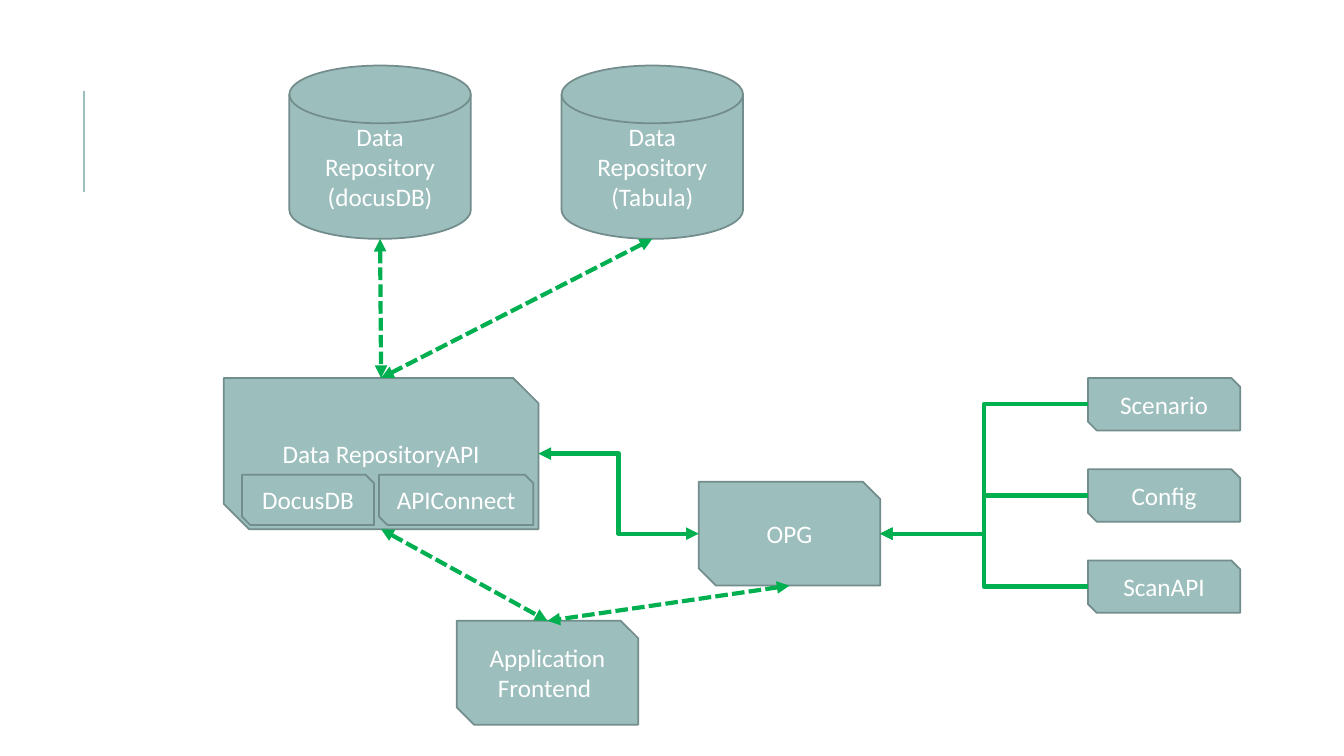
from lxml import etree
from pptx import Presentation
from pptx.dml.color import RGBColor
from pptx.enum import dml, shapes, text
from pptx.oxml import ns
from pptx.util import Inches, Pt

TEAL = RGBColor(0x9C, 0xBE, 0xBD)
EDGE = RGBColor(0x73, 0x8D, 0x8C)
GREEN = RGBColor(0x00, 0xB0, 0x50)
WHITE = RGBColor(0xFF, 0xFF, 0xFF)
SNIP = shapes.MSO_SHAPE.SNIP_2_DIAG_RECTANGLE
DISK = shapes.MSO_SHAPE.FLOWCHART_MAGNETIC_DISK
PLAIN = shapes.MSO_CONNECTOR.STRAIGHT
BENT = shapes.MSO_CONNECTOR.ELBOW


def node(host, label, box, kind=SNIP):
    """Add a labelled shape in box (left, top, width, height); return box."""
    item = host.add_shape(kind, *map(Inches, box))
    item.shadow.inherit = False
    item.fill.solid()
    item.fill.fore_color.rgb = TEAL
    item.line.color.rgb = EDGE
    item.line.width = Pt(1.25)
    frame = item.text_frame
    frame.word_wrap = True
    frame.vertical_anchor = text.MSO_ANCHOR.MIDDLE
    para = frame.paragraphs[0]
    para.alignment = text.PP_ALIGN.CENTER
    run = para.add_run()
    run.text = label
    run.font.name = "Calibri"
    run.font.size = Pt(18)
    run.font.color.rgb = WHITE
    return box


def site(box, side):
    """Return the middle of one side of a box."""
    x, y, w, h = box
    return {"top": (x + w / 2, y), "bottom": (x + w / 2, y + h),
            "left": (x, y + h / 2), "right": (x + w, y + h / 2)}[side]


def link(host, start, end, kind=PLAIN, ends=(), dash=False,
         color=GREEN, width=3):
    """Join two points, with triangles at the named ends."""
    wire = host.add_connector(kind, *map(Inches, start + end))
    wire.line.color.rgb = color
    wire.line.width = Pt(width)
    if dash:
        wire.line.dash_style = dml.MSO_LINE.SQUARE_DOT
    props = wire._element.spPr
    line = props.find(ns.qn("a:ln"))
    for name in ends:
        etree.SubElement(line, ns.qn(f"a:{name}End"), type="triangle")
    etree.SubElement(props, ns.qn("a:effectLst"))


def stores(host, box):
    """Add the row of data stores; return their boxes."""
    x, y, w, h = box
    size, names = 1.8, ("docusDB", "Tabula")
    step = (w - size) / (len(names) - 1)
    return [node(host, f"Data Repository ({name})",
                 (x + i * step, y, size, h), DISK)
            for i, name in enumerate(names)]


def hub(host, box):
    """Add the repository API with its two inner parts as one group."""
    x, y, w, h = box
    group = host.add_group_shape().shapes
    node(group, "Data RepositoryAPI", box)
    for label, dx, wide in (("DocusDB", 0.18, 1.31),
                            ("APIConnect", 1.54, 1.53)):
        node(group, label, (x + dx, y + h - 0.54, wide, 0.5))
    return box


def inputs(host, box):
    """Stack the input modules in a column; return their boxes."""
    x, y, w, h = box
    names, high = ("Scenario", "Config", "ScanAPI"), 0.52
    step = (h - high) / (len(names) - 1)
    return [node(host, name, (x, y + i * step, w, high))
            for i, name in enumerate(names)]


def main():
    """Build the architecture slide."""
    deck = Presentation()
    deck.slide_width, deck.slide_height = Inches(13.33), Inches(7.5)
    host = deck.slides.add_slide(deck.slide_layouts[6]).shapes
    both = ("head", "tail")

    link(host, (0.83, 1.9), (0.83, 0.9), color=TEAL, width=1.5)
    disks = stores(host, (2.87, 0.65, 4.5, 1.72))
    core = node(host, "OPG", (6.93, 4.78, 1.8, 1.03))
    mods = inputs(host, (10.79, 3.75, 1.51, 2.33))
    api = hub(host, (2.22, 3.75, 3.12, 1.5))
    front = node(host, "Application Frontend ", (4.53, 6.16, 1.8, 1.03))

    for disk in disks:
        link(host, site(disk, "bottom"), site(api, "top"),
             ends=both, dash=True)
    for mod in mods:
        link(host, site(mod, "left"), site(core, "right"), BENT, ("tail",))
    for part in (core, api):
        link(host, site(part, "bottom"), site(front, "top"),
             ends=both, dash=True)
    link(host, site(api, "right"), site(core, "left"), BENT, both)
    deck.save("out.pptx")


main()
